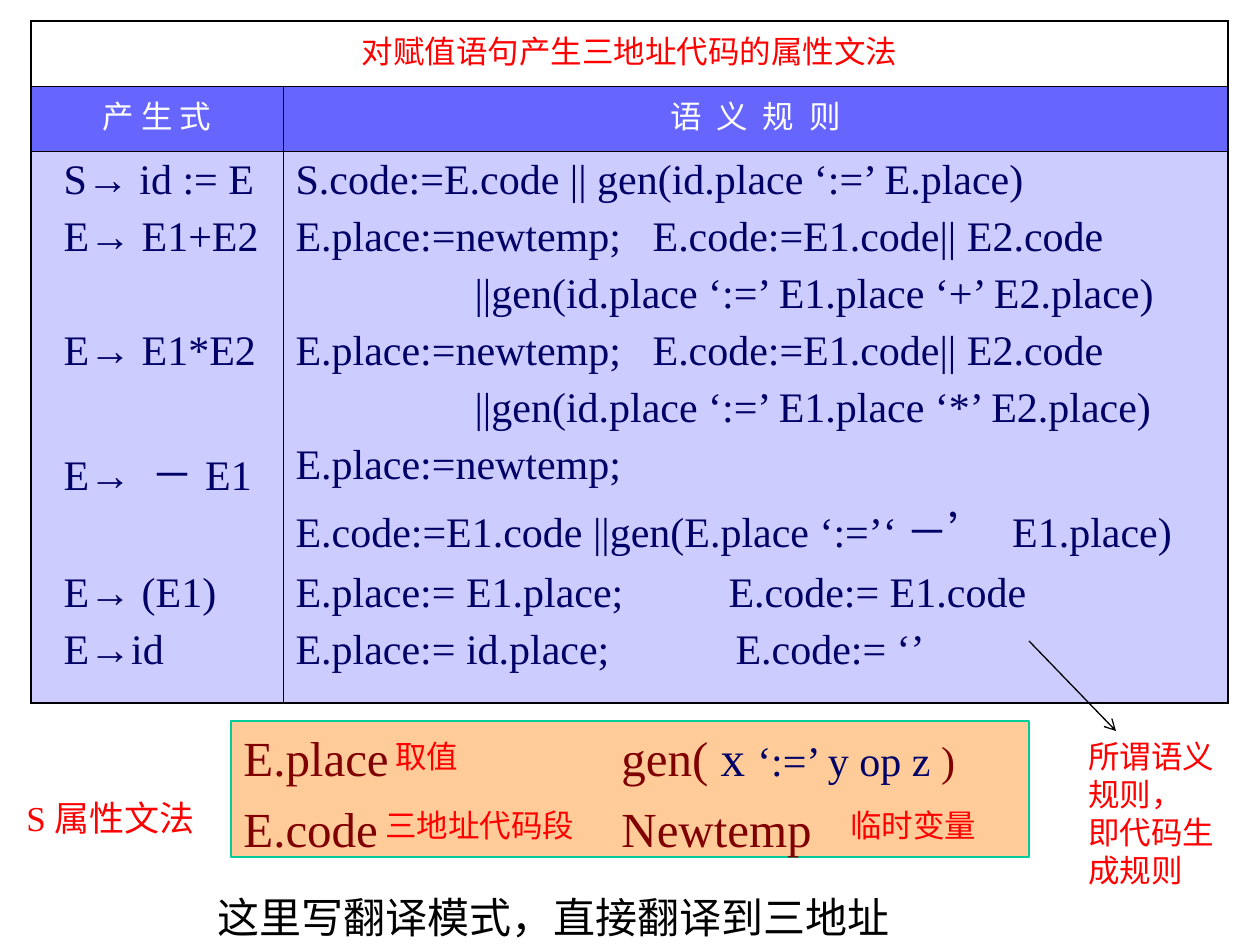
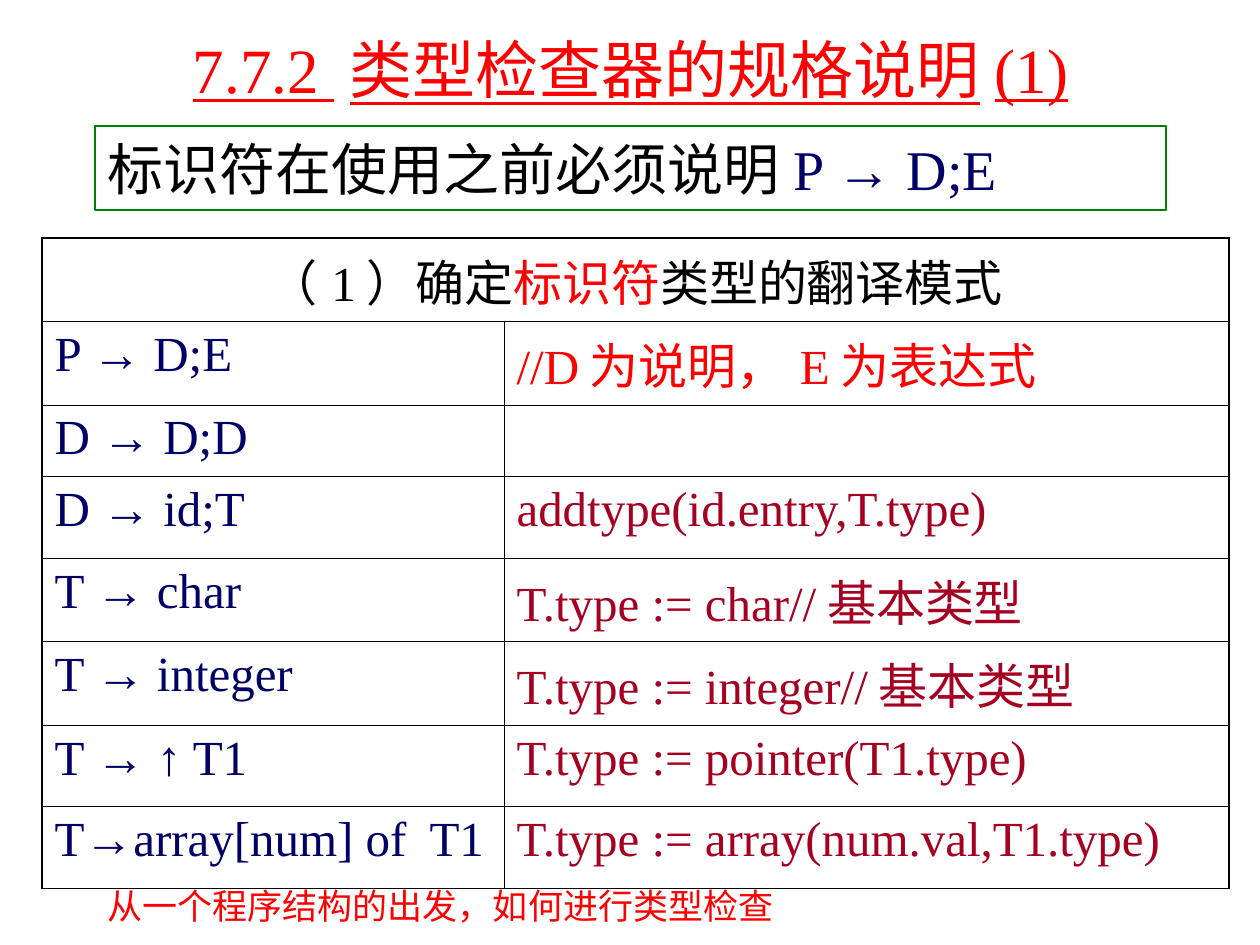
from lxml import etree
from pptx import Presentation
from pptx import util as u
from pptx.dml.color import RGBColor
from pptx.enum import shapes, text
from pptx.oxml.ns import qn

COLORS = dict(black="000000", white="FFFFFF", red="FF0000", navy="000066", maroon="800000",
              crimson="A50021", violet="6666FF", lilac="CCCCFF", peach="FFCC99",
              teal="00CC99", green="008000")
FONT = "Times New Roman"
PX = 914400 / 126
OUTER, INNER = 1.08, 0.45  # table rule widths in points

# ---- Content: a line is a list of (text, colour, size) runs plus options ----
GRAMMAR_TITLE = "对赋值语句产生三地址代码的属性文法"
GRAMMAR_HEADS = [("产 生 式", 0), ("语 义 规 则", 225)]  # letter spacing, 1/100 pt
PRODUCTIONS = [  # text, empty lines above
    ("S→ id := E", 0), ("E→ E1+E2", 0), ("E→ E1*E2", 1),
    ("E→ －E1", 1), ("E→ (E1)", 1), ("E→id", 0)]
RULES = [  # text, indent, tab stop
    ("S.code:=E.code || gen(id.place ‘:=’ E.place)", 0, 0),
    ("E.place:=newtemp;\tE.code:=E1.code|| E2.code", 0, 357),
    ("||gen(id.place ‘:=’ E1.place ‘+’ E2.place)", 179, 0),
    ("E.place:=newtemp;\tE.code:=E1.code|| E2.code", 0, 357),
    ("||gen(id.place ‘:=’ E1.place ‘*’ E2.place)", 179, 0),
    ("E.place:=newtemp;", 0, 0),
    ("E.code:=E1.code ||gen(E.place ‘:=’‘－’ E1.place)", 0, 0),
    ("E.place:= E1.place;\tE.code:= E1.code", 0, 433),
    ("E.place:= id.place;\tE.code:= ‘’", 0, 440)]
LEGEND_ATTRIBUTES = [[("E.place", "maroon", 28)], [("E.code", "maroon", 28)]]
LEGEND_FUNCTIONS = [
    [("gen( ", "maroon", 28), ("x ", "navy", 28),
     ("‘:=’ y op z ", "navy", 24), (")", "maroon", 24)],
    [("Newtemp", "maroon", 28)]]
GRAMMAR_NOTES = [  # box, paragraphs, colour, size, wrap
    ((1076, 731, 169, 164), ["所谓语义规则，", "即代码生成规则"], "red", 18, True),
    ((383, 731, 88, 50), ["取值"], "red", 18, False),
    ((373, 800, 214, 50), ["三地址代码段"], "red", 18, False),
    ((838, 800, 151, 50), ["临时变量"], "red", 18, False),
    ((14, 790, 193, 55), ["S属性文法"], "red", 20, False),
    ((205, 885, 891, 63), ["这里写翻译模式，直接翻译到三地址"], "black", 24, True)]

CHECKER_TITLE = "7.7.2 类型检查器的规格说明(1)"
DECLARE_FIRST = [("标识符在使用之前必须说明", "black", 32), ("P → D;E", "navy", 32)]
SCHEME_TITLE = [("（1）确定", "black", 28), ("标识符", "red", 28), ("类型的翻译模式", "black", 28)]
SCHEME = [  # production, action, action colour, row height
    ("P → D;E", "//D为说明，E为表达式", "red", 84),
    ("D → D;D", "", "crimson", 71),
    ("D → id;T", "addtype(id.entry,T.type)", "crimson", 82),
    ("T → char", "T.type := char//基本类型", "crimson", 83),
    ("T → integer", "T.type := integer//基本类型", "crimson", 84),
    ("T → ↑ T1", "T.type := pointer(T1.type)", "crimson", 81),
    ("T→array[num] of\tT1", "T.type := array(num.val,T1.type)", "crimson", 82)]
CHECKER_NOTE = ((95, 878, 981, 55), ["从一个程序结构的出发，如何进行类型检查"], "red", 20, True)


# ---- Helpers ----
def px(n):
    return u.Emu(round(n * PX))


def rgb(name):
    return RGBColor.from_string(COLORS[name])


def write_line(p, runs, align=None, before=0, indent=0, tab=0, spacing=0, underline=False):
    pPr = p._p.get_or_add_pPr()
    if indent:
        pPr.set("marL", str(px(indent)))
    if tab:  # a first-line indent here would reset the tab stops
        stops = etree.SubElement(pPr, qn("a:tabLst"))
        etree.SubElement(stops, qn("a:tab"), pos=str(px(tab)), algn="l")
    if before:
        p.space_before = u.Pt(before)
    if align:
        p.alignment = align
    for content, color, size in runs:
        r = p.add_run()
        r.text = content
        r.font.name, r.font.size = FONT, u.Pt(size)
        r.font.color.rgb = rgb(color)
        if underline:
            r.font.underline = True
        if spacing:
            r._r.get_or_add_rPr().set("spc", str(spacing))


def write(tf, lines):
    """Fill a text frame with (runs, options) lines."""
    for i, (runs, options) in enumerate(lines):
        p = tf.add_paragraph() if i else tf.paragraphs[0]
        write_line(p, runs, **options)


def spaced(lines, gap):
    """Put the gap, in points, between lines."""
    return [(runs, dict(before=gap if i else 0)) for i, runs in enumerate(lines)]


def add_text(slide, box, lines, wrap=True, anchor=text.MSO_ANCHOR.TOP):
    sp = slide.shapes.add_textbox(*map(px, box))
    tf = sp.text_frame
    tf.word_wrap, tf.vertical_anchor = wrap, anchor
    write(tf, lines)


def add_note(slide, box, paragraphs, color, size, wrap):
    add_text(slide, box, [([(t, color, size)], {}) for t in paragraphs], wrap)


def add_panel(slide, box, line, fill, lines, anchor):
    sp = slide.shapes.add_shape(shapes.MSO_SHAPE.RECTANGLE, *map(px, box))
    sp.shadow.inherit = False
    if fill:
        sp.fill.solid()
        sp.fill.fore_color.rgb = rgb(fill)
    else:
        sp.fill.background()
    sp.line.color.rgb, sp.line.width = rgb(line), u.Pt(0.75)
    tf = sp.text_frame
    tf.word_wrap, tf.vertical_anchor = True, anchor
    write(tf, [(runs, dict(align=text.PP_ALIGN.LEFT, **options)) for runs, options in lines])


def rule_cell(cell, edges):
    """Draw the borders; they stand before the fill in the cell properties."""
    tcPr = cell._tc.get_or_add_tcPr()
    for i, (side, width) in enumerate(edges.items()):
        ln = etree.Element(qn("a:ln" + side), w=str(u.Pt(width)))
        fill = etree.SubElement(ln, qn("a:solidFill"))
        etree.SubElement(fill, qn("a:srgbClr"), val=COLORS["black"])
        tcPr.insert(i, ln)


def add_table(slide, left, top, widths, heights, cells, fills):
    """Two-column table whose first row is one merged title cell."""
    rows, cols = len(heights), len(widths)
    table = slide.shapes.add_table(rows, cols, px(left), px(top),
                                   px(sum(widths)), px(sum(heights))).table
    table.first_row = table.horz_banding = False
    for col, width in zip(table.columns, widths):
        col.width = px(width)
    for row, height in zip(table.rows, heights):
        row.height = px(height)
    table.cell(0, 0).merge(table.cell(0, cols - 1))
    for y in range(rows):
        for x in range(cols):
            cell = table.cell(y, x)
            if fills[y]:
                cell.fill.solid()
                cell.fill.fore_color.rgb = rgb(fills[y])
            else:
                cell.fill.background()
            rule_cell(cell, dict(L=OUTER if x == 0 else INNER,
                                 R=OUTER if x == cols - 1 or y == 0 else INNER,
                                 T=OUTER if y == 0 else INNER,
                                 B=OUTER if y == rows - 1 else INNER))
            if x < len(cells[y]):
                write(cell.text_frame, cells[y][x])


def add_arrow(slide, start, end):
    c = slide.shapes.add_connector(shapes.MSO_CONNECTOR.STRAIGHT, *map(px, start + end))
    c.line.color.rgb, c.line.width = rgb("black"), u.Pt(0.75)
    etree.SubElement(c.line._get_or_add_ln(), qn("a:tailEnd"), type="arrow")
    etree.SubElement(c._element.spPr, qn("a:effectLst"))


# ---- Slides ----
def grammar_slide(slide):
    center = dict(align=text.PP_ALIGN.CENTER)
    gap, blank = 6, 32.5  # points between lines, and for one empty line
    heads = [[([(t, "white", 18)], dict(center, spacing=s))] for t, s in GRAMMAR_HEADS]
    productions = [([(t, "navy", 24)], dict(indent=20, before=gap + n * blank if i else 0))
                   for i, (t, n) in enumerate(PRODUCTIONS)]
    rules = [([(t, "navy", 24)], dict(indent=m, tab=tab, before=gap if i else 0))
             for i, (t, m, tab) in enumerate(RULES)]
    add_table(slide, 31, 21, [252, 945], [65, 65, 552],
              [[[([(GRAMMAR_TITLE, "red", 18)], center)]], heads, [productions, rules]],
              [None, "violet", "lilac"])
    # Legend: attributes on the left, functions on the right
    add_panel(slide, (231, 721, 798, 136), "teal", "peach",
              spaced(LEGEND_ATTRIBUTES, 7), text.MSO_ANCHOR.TOP)
    add_text(slide, (609, 721, 420, 136), spaced(LEGEND_FUNCTIONS, 7))
    add_arrow(slide, (1029, 641), (1116, 731))
    for note in GRAMMAR_NOTES:
        add_note(slide, *note)


def checker_slide(slide):
    center = dict(align=text.PP_ALIGN.CENTER)
    add_text(slide, (95, 32, 1071, 73),
             [([(CHECKER_TITLE, "red", 36)], dict(center, underline=True))],
             anchor=text.MSO_ANCHOR.MIDDLE)
    add_panel(slide, (95, 126, 1071, 84), "green", None, [(DECLARE_FIRST, {})],
              text.MSO_ANCHOR.MIDDLE)
    cells = [[[(SCHEME_TITLE, center)]]]
    for production, action, color, _ in SCHEME:
        tab = 375 if "\t" in production else 0
        cells.append([[([(production, "navy", 28)], dict(tab=tab))],
                      [([(action, color, 28)], {})] if action else []])
    add_table(slide, 42, 238, [462, 725], [83] + [row[-1] for row in SCHEME],
              cells, [None] * len(cells))
    add_note(slide, *CHECKER_NOTE)


def main():
    prs = Presentation()
    prs.slide_width, prs.slide_height = px(1260), px(945)
    for build in (grammar_slide, checker_slide):
        build(prs.slides.add_slide(prs.slide_layouts[6]))
    prs.save("out.pptx")


if __name__ == "__main__":
    main()
